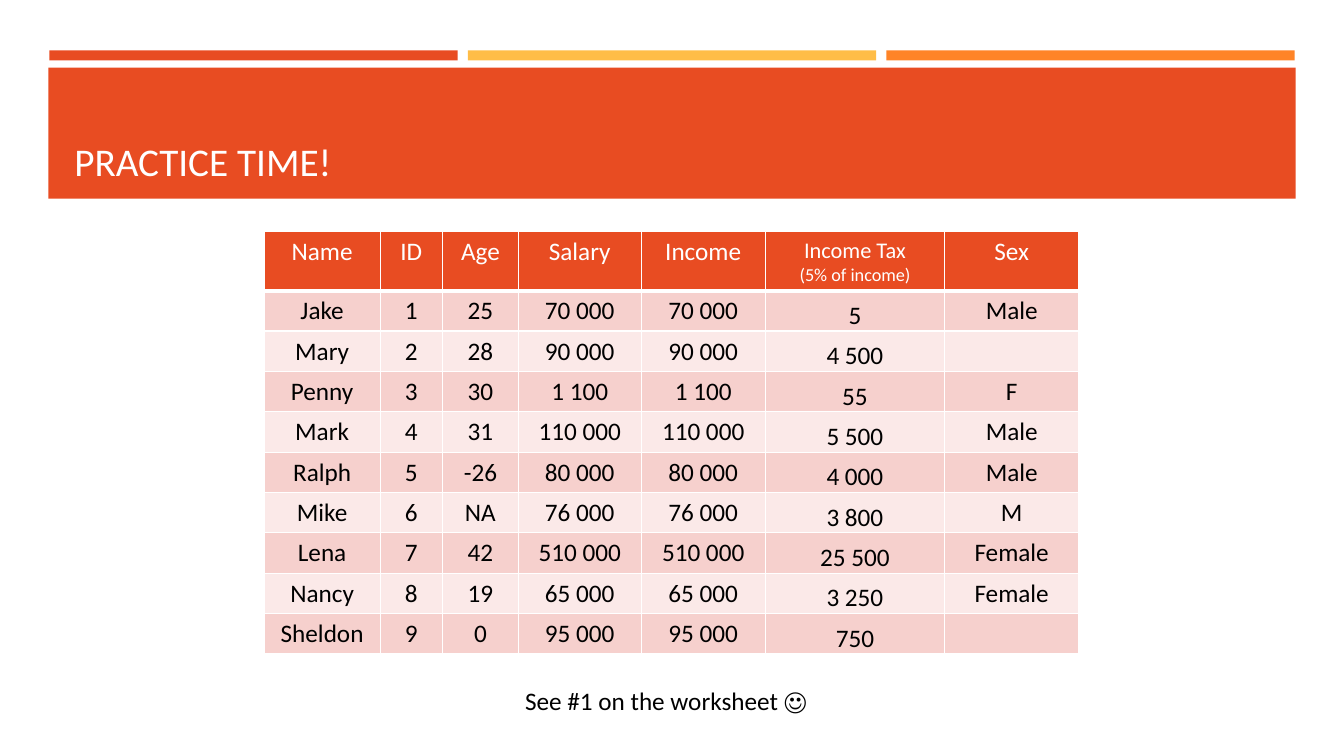
import lxml.etree
import pptx
import pptx.util
import pptx.dml.color
import pptx.enum.shapes
import pptx.enum.text
import pptx.oxml.ns

ALIGN = pptx.enum.text.PP_ALIGN
ANCHOR = pptx.enum.text.MSO_ANCHOR
RED, GOLD, ORANGE = "E84C22", "FFBD47", "FF8427"
PINK, PALE, WHITE, BLACK = "F6D0CD", "FBE9E8", "FFFFFF", "000000"

HEAD = ["Name", "ID", "Age", "Salary", "Income", "Income Tax\n(5% of income)", "Sex"]
PEOPLE = [
    ["Jake", "1", "25", "70 000", "70 000", "5", "Male"],
    ["Mary", "2", "28", "90 000", "90 000", "4 500", ""],
    ["Penny", "3", "30", "1 100", "1 100", "55", "F"],
    ["Mark", "4", "31", "110 000", "110 000", "5 500", "Male"],
    ["Ralph", "5", "-26", "80 000", "80 000", "4 000", "Male"],
    ["Mike", "6", "NA", "76 000", "76 000", "3 800", "M"],
    ["Lena", "7", "42", "510 000", "510 000", "25 500", "Female"],
    ["Nancy", "8", "19", "65 000", "65 000", "3 250", "Female"],
    ["Sheldon", "9", "0", "95 000", "95 000", "750", ""],
]
WIDTHS = [115, 62, 75, 122, 123, 178, 133]
TAX = 5


def px(count):
    return pptx.util.Emu(count * 9144)


def shade(code):
    return pptx.dml.color.RGBColor.from_string(code)


class Page:
    font = "Calibri"

    def __init__(self, deck):
        self.slide = deck.slides.add_slide(deck.slide_layouts[6])

    def style(self, line, size, color, align=ALIGN.LEFT):
        line.alignment = align
        for run in line.runs:
            run.font.name = self.font
            run.font.size = pptx.util.Pt(size)
            run.font.color.rgb = shade(color)

    def bar(self, left, top, width, height, color):
        kind = pptx.enum.shapes.MSO_SHAPE.RECTANGLE
        box = self.slide.shapes.add_shape(kind, px(left), px(top), px(width), px(height))
        box.shadow.inherit = False
        box.fill.solid()
        box.fill.fore_color.rgb = shade(color)
        box.line.fill.background()

    def text(self, left, top, width, height, words, size, color, anchor=ANCHOR.TOP, wrap=True):
        box = self.slide.shapes.add_textbox(px(left), px(top), px(width), px(height))
        frame = box.text_frame
        frame.word_wrap = wrap
        frame.vertical_anchor = anchor
        frame.text = words
        self.style(frame.paragraphs[0], size, color)

    def edge(self, cell, side, points):
        props = cell._tc.get_or_add_tcPr()
        name = pptx.oxml.ns.qn
        line = lxml.etree.SubElement(props, name("a:" + side), w=str(pptx.util.Pt(points)))
        fill = lxml.etree.SubElement(line, name("a:solidFill"))
        lxml.etree.SubElement(fill, name("a:srgbClr"), val=WHITE)

    def cell(self, cell, words, color, fill, sizes, base):
        cell.text = words
        for line, size in zip(cell.text_frame.paragraphs, sizes):
            self.style(line, size, color, ALIGN.CENTER)
        for side, points in (("lnL", 1), ("lnR", 1), ("lnT", 1), ("lnB", base)):
            self.edge(cell, side, points)
        cell.fill.solid()
        cell.fill.fore_color.rgb = shade(fill)

    def table(self, left, top, widths, head, rows):
        shape = self.slide.shapes.add_table(
            len(rows) + 1, len(widths), px(left), px(top), px(sum(widths)), px(58 + 40 * len(rows)))
        grid = shape.table
        for column, width in zip(grid.columns, widths):
            column.width = px(width)
        for index, row in enumerate(grid.rows):
            row.height = px(40 if index else 58)
        for col, words in enumerate(head):
            sizes = (16, 13) if col == TAX else (18,)
            self.cell(grid.cell(0, col), words, WHITE, RED, sizes, 3)
        for index, row in enumerate(rows, 1):
            fill = PINK if index % 2 else PALE
            for col, words in enumerate(row):
                self.cell(grid.cell(index, col), words, BLACK, fill, (18,), 1)
            tax = grid.cell(index, TAX)
            tax.vertical_anchor = ANCHOR.BOTTOM
            tax.margin_left = tax.margin_right = tax.margin_top = px(1)
            tax.margin_bottom = 0


def main():
    deck = pptx.Presentation()
    deck.slide_width, deck.slide_height = px(1333), px(750)
    page = Page(deck)
    for index, color in enumerate((RED, GOLD, ORANGE)):
        page.bar(49 + 415 * index, 50, 405, 10, color)
    page.bar(48, 67, 1237, 130, RED)
    page.text(64, 77, 1206, 111, "PRACTICE TIME!", 28, WHITE, ANCHOR.BOTTOM)
    page.table(262, 230, WIDTHS, HEAD, PEOPLE)
    page.text(511, 675, 311, 40, "See #1 on the worksheet ☺", 18, BLACK, wrap=False)
    deck.save("out.pptx")


if __name__ == "__main__":
    main()
